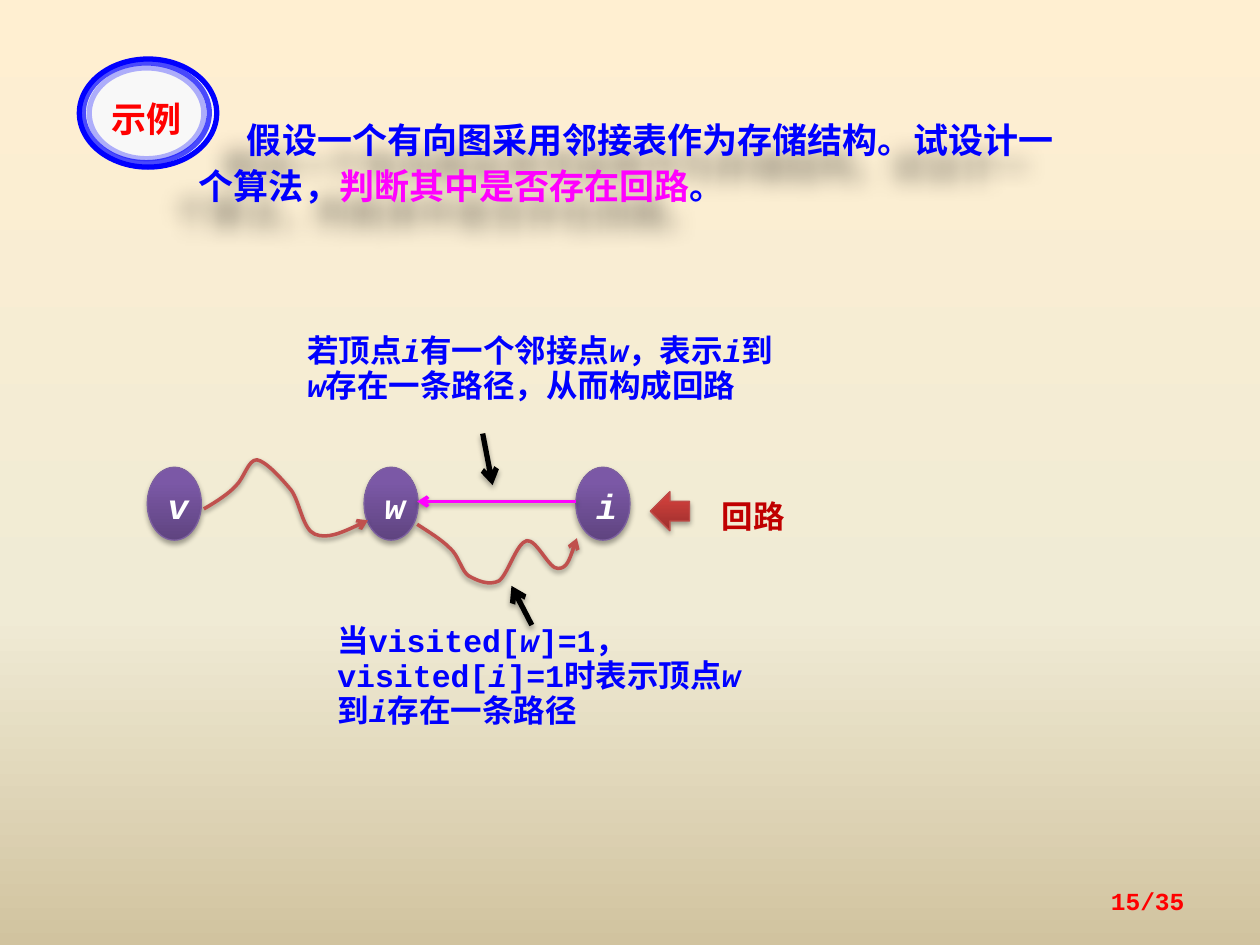
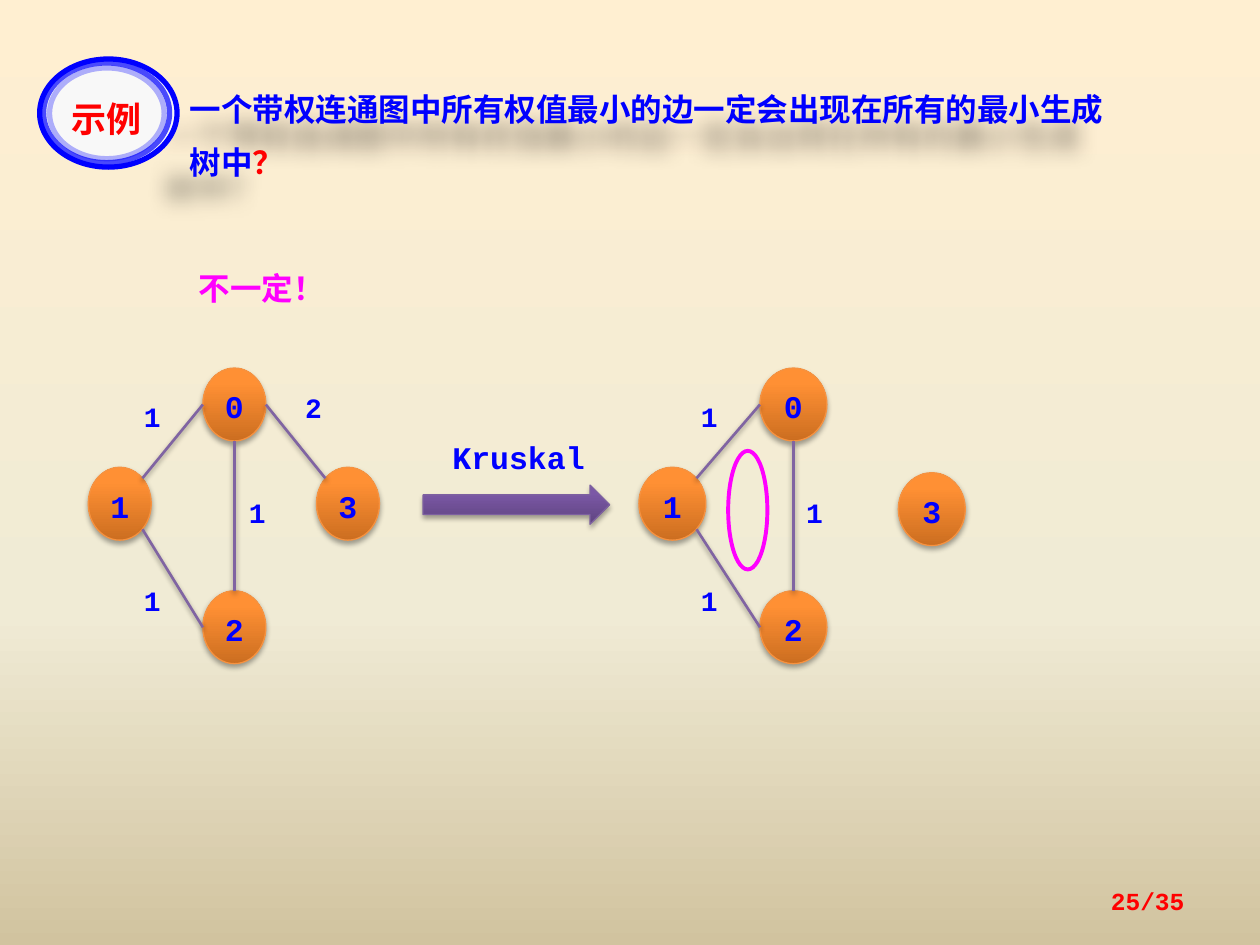
from copy import deepcopy
from dataclasses import dataclass

from lxml.etree import SubElement
from pptx import Presentation
from pptx.dml.color import RGBColor
from pptx.enum.shapes import MSO_CONNECTOR, MSO_SHAPE
from pptx.enum.text import MSO_ANCHOR, MSO_AUTO_SIZE, PP_ALIGN
from pptx.util import Cm, Pt

OVAL, LEFT, RIGHT = MSO_SHAPE.OVAL, MSO_SHAPE.LEFT_ARROW, MSO_SHAPE.RIGHT_ARROW
STRAIGHT = MSO_CONNECTOR.STRAIGHT
MIDDLE, GROW = MSO_ANCHOR.MIDDLE, MSO_AUTO_SIZE.SHAPE_TO_FIT_TEXT
CENTER, END = PP_ALIGN.CENTER, PP_ALIGN.RIGHT
A = "{http://schemas.openxmlformats.org/drawingml/2006/main}"


@dataclass(frozen=True)
class Theme:
    blue: str = "0000FF"
    pink: str = "FF00FF"
    red: str = "FF0000"
    dark: str = "C00000"
    brick: str = "C0504D"
    edge: str = "8064A2"
    white: str = "FFFFFF"
    black: str = "000000"
    pale: str = "F8F8F8"
    # Bottom colour, top colour, outline
    plum: tuple = ("5F4480", "7B58A6", "7D60A0")
    coral: tuple = ("9C2F2D", "CB3E3A", "BF4C48")
    orange: tuple = ("CC6E20", "FF9034", "F69240")
    sky: tuple = ((0, "FFEFD1"), (0.65, "F0EBD5"), (1, "D1C39F"))
    # Opacity %, blur pt, distance pt, direction in degrees
    solid: tuple = (35, 3.1, 1.8, 90)
    thin: tuple = (38, 3.1, 1.6, 90)
    cast: tuple = (40, 12, 20, 135)
    code: str = "Courier New"
    serif: str = "Times New Roman"
    sans: str = "Noto Sans CJK SC"
    badge: str = "Noto Sans CJK JP"
    big: int = 20
    body: int = 18
    small: int = 16
    foot: int = 14


T = Theme()


def write(item, text, size, color, font=T.code, gap=1.1, alt=None,
          align=None, inset=None):
    """Fill a text frame; parts between bars turn italic or take colour alt."""
    frame = item.text_frame
    frame.word_wrap = True
    if inset is not None:
        frame.margin_left = frame.margin_right = Cm(inset)
        frame.margin_top = frame.margin_bottom = Cm(inset)
    para = frame.paragraphs[0]
    para.line_spacing = gap
    para.alignment = align
    para.font.name, para.font.size, para.font.bold = font, Pt(size), True
    para.font.color.rgb = RGBColor.from_string(color)
    east = T.badge if font == T.badge else T.sans
    SubElement(para._p.pPr.find(A + "defRPr"), A + "ea", typeface=east)
    for n, part in enumerate(text.split("|")):
        run = para.add_run()
        run.text = part
        if n % 2 and alt:
            run.font.color.rgb = RGBColor.from_string(alt)
        elif n % 2:
            run.font.italic = True
    return frame


def dress(item, line=None, width=0.75, grad=None, shade=None, alpha=None, head=False):
    """Give an item its gradient, line, arrowhead and shadow."""
    props = item._element.spPr
    if grad:
        item.fill.gradient()
        item.fill.gradient_angle = 90
        for stop, place, tint in zip(item.fill.gradient_stops, (0, 0.8), grad):
            stop.position, stop.color.rgb = place, RGBColor.from_string(tint)
        line = grad[2]
    if line:
        item.line.color.rgb = RGBColor.from_string(line)
        item.line.width = Pt(width)
        pen = props.find(A + "ln")
        if alpha:
            SubElement(pen.find(f".//{A}srgbClr"), A + "alpha", val=str(alpha * 1000))
        if head:
            SubElement(pen, A + "tailEnd", type="arrow")
    glow = SubElement(props, A + "effectLst")
    if shade:
        dark, blur, far, turn = shade
        drop = SubElement(glow, A + "outerShdw", blurRad=str(Pt(blur)),
                          dist=str(Pt(far)), dir=str(turn * 60000), rotWithShape="0")
        tone = SubElement(drop, A + "srgbClr", val=T.black)
        SubElement(tone, A + "alpha", val=str(dark * 1000))


prs = Presentation()
prs.slide_width, prs.slide_height = Cm(25.4), Cm(19.05)

# Shared background
back = prs.slide_master.background.fill
back.gradient()
back.gradient_angle = 270
stops = prs.slide_master._element.find(f".//{A}gsLst")
stops.append(deepcopy(stops[1]))
for stop, (place, tint) in zip(back.gradient_stops, T.sky):
    stop.position, stop.color.rgb = place, RGBColor.from_string(tint)

cycle, tree = [prs.slides.add_slide(prs.slide_layouts[6]) for _ in range(2)]

# Headings
head = cycle.shapes.add_textbox(*map(Cm, (3.76, 2.18, 18.26, 2.13)))
frame = write(head, "假设一个有向图采用邻接表作为存储结构。试设计一个算法，|判断其中是否存在回路|。",
              T.big, T.blue, T.serif, alt=T.pink)
frame.paragraphs[0]._p.pPr.set("indent", str(Cm(0.97)))
frame.auto_size = GROW
dress(head, shade=T.cast)
head = tree.shapes.add_textbox(*map(Cm, (3.58, 1.4, 19.05, 2.29)))
write(head, "一个带权连通图中所有权值最小的边一定会出现在所有的最小生成树中|？|",
      T.body, T.blue, gap=Pt(30), alt=T.red).auto_size = GROW
dress(head, shade=T.cast)

# Vertices on the cycle
for name, x in (("v", 2.97), ("w", 7.34), ("i", 11.61)):
    node = cycle.shapes.add_shape(OVAL, *map(Cm, (x, 9.42, 1.09, 1.47)))
    dress(node, grad=T.plum, shade=T.solid)
    write(node, f"|{name}|", T.big, T.white, align=CENTER).vertical_anchor = MIDDLE

# Winding routes: a start, then two control points and an end for each bend
routes = (
    ((4.11, 10.26), (4.37, 10.11), (4.6, 9.96), (4.75, 9.8),
     (4.93, 9.63), (5, 9.27), (5.18, 9.27), (5.36, 9.3), (5.66, 9.63), (5.87, 9.88),
     (6.05, 10.13), (6.1, 10.67), (6.35, 10.77), (6.6, 10.87), (7.01, 10.69), (7.42, 10.49)),
    ((8.41, 10.57), (8.64, 10.72), (8.89, 10.87), (9.07, 11.05),
     (9.25, 11.2), (9.3, 11.51), (9.45, 11.61), (9.63, 11.71), (9.86, 11.81), (10.06, 11.71),
     (10.24, 11.58), (10.41, 10.95), (10.62, 10.9), (10.82, 10.87), (11.07, 11.48),
     (11.25, 11.46), (11.43, 11.46), (11.53, 11.15), (11.63, 10.85)),
)
for route in routes:
    spots = [(Cm(x), Cm(y)) for x, y in route]
    maker = cycle.shapes.build_freeform(*spots[0], scale=1.0)
    maker.add_line_segments(spots[1:], close=False)
    wave = maker.convert_to_shape()
    track = wave._element.find(f".//{A}path")
    legs = track.findall(A + "lnTo")
    for n in range(0, len(legs), 3):
        bend = SubElement(track, A + "cubicBezTo")
        for leg in legs[n:n + 3]:
            bend.append(leg[0])
            track.remove(leg)
    wave.fill.background()
    dress(wave, T.brick, 2, shade=T.thin, head=True)

# Notes and the cycle label
notes = (
    ("当visited[|w|]=1，visited[|i|]=1时表示顶点|w|到|i|存在一条路径",
     (6.55, 12.45, 8.94, 2.39), T.blue, T.code, 20),
    ("若顶点|i|有一个邻接点|w|，表示|i|到|w|存在一条路径，从而构成回路",
     (5.94, 6.6, 9.93, 1.68), T.blue, T.code, 20),
    ("回路", (14.3, 9.6, 2.18, 1.32), T.dark, T.sans, 30),
)
for text, box, color, font, gap in notes:
    note = cycle.shapes.add_textbox(*map(Cm, box))
    write(note, text, T.body, color, font, Pt(gap)).auto_size = GROW

# Arrows
for ends, color, width, shade in (
    ((10.72, 12.6, 10.31, 11.81), T.black, 3, T.solid),
    ((11.61, 10.11, 8.41, 10.11), T.pink, 2, T.thin),
    ((9.73, 8.74, 9.93, 9.78), T.black, 3, T.solid),
):
    arrow = cycle.shapes.add_connector(STRAIGHT, *map(Cm, ends))
    dress(arrow, color, width, shade=shade, head=True)
for slide, kind, box, grad in (
    (cycle, LEFT, (13.11, 9.91, 0.79, 0.79), T.coral),
    (tree, RIGHT, (8.53, 9.78, 3.76, 0.79), T.plum),
):
    block = slide.shapes.add_shape(kind, *map(Cm, box))
    dress(block, grad=grad, shade=T.solid)

# Answer and algorithm name
for text, box, color, font, inset in (
    ("不一定！", (3.76, 5, 4.37, 1.22), T.pink, T.sans, None),
    ("Kruskal", (9.12, 8.53, 3.18, 0.97), T.blue, T.code, 0),
):
    note = tree.shapes.add_textbox(*map(Cm, box))
    write(note, text, T.body, color, font, Pt(30), inset=inset).auto_size = GROW

# Weighted graphs: vertex corners, vertex width, number of edges kept
high = 1.47
graphs = (
    (((4.09, 7.42), (1.78, 9.42), (4.09, 11.91), (6.38, 9.42)), 1.27, 4),
    (((15.32, 7.42), (12.88, 9.42), (15.32, 11.91), (18.11, 9.53)), 1.35, 3),
)
# From vertex and point on it, to vertex and point, weight, weight position
edges = (
    (0, (0, 0.5), 1, (0.86, 0.15), "1", (-1.19, 7.67)),
    (1, (0.86, 0.85), 2, (0, 0.5), "1", (-1.19, 11.38)),
    (0, (0.5, 1), 2, (0.5, 0), "1", (0.93, 9.6)),
    (0, (1, 0.5), 3, (0.14, 0.15), "2", (2.06, 7.49)),
)
for spots, wide, kept in graphs:
    for n, (x, y) in enumerate(spots):
        node = tree.shapes.add_shape(OVAL, *map(Cm, (x, y, wide, high)))
        dress(node, grad=T.orange, shade=T.solid)
        write(node, str(n), T.body, T.blue, align=CENTER).vertical_anchor = MIDDLE
    for a, near, b, far, weight, (dx, top) in edges[:kept]:
        ends = [spots[v][k] + f[k] * (wide, high)[k]
                for v, f in ((a, near), (b, far)) for k in (0, 1)]
        edge = tree.shapes.add_connector(STRAIGHT, *map(Cm, ends))
        dress(edge, T.edge, 1.5, shade=T.thin)
        tag = tree.shapes.add_textbox(*map(Cm, (spots[0][0] + dx, top, 0.47, 1.07)))
        write(tag, weight, T.small, T.blue, gap=Pt(30), inset=0).auto_size = GROW

# Loop mark
loop = tree.shapes.add_shape(OVAL, *map(Cm, (14.68, 9.09, 0.79, 2.39)))
loop.fill.background()
dress(loop, T.pink, 2.25)

# Badge and page number
rings = (
    ((0, 1.19, 2.77, 2.18), None),
    ((0.08, 1.27, 2.54, 2.01), 70),
    ((0.2, 1.37, 2.31, 1.83), 30),
)
for slide, left, page in ((cycle, 1.6, "15/35"), (tree, 0.8, "25/35")):
    for (x, *rest), alpha in rings:
        ring = slide.shapes.add_shape(OVAL, *map(Cm, (left + x, *rest)))
        if alpha:
            ring.fill.background()
        else:
            ring.fill.solid()
            ring.fill.fore_color.rgb = RGBColor.from_string(T.pale)
        dress(ring, T.blue, 3, alpha=alpha)
    label = slide.shapes.add_textbox(*map(Cm, (left + 0.13, 1.75, 2.44, 0.99)))
    write(label, "示例", T.big, T.red, T.badge, align=CENTER).auto_size = GROW
    foot = slide.shapes.add_textbox(*map(Cm, (18.21, 17.65, 5.92, 1.02)))
    write(foot, page, T.foot, T.red, gap=1.0, align=END).vertical_anchor = MIDDLE

prs.save("out.pptx")
